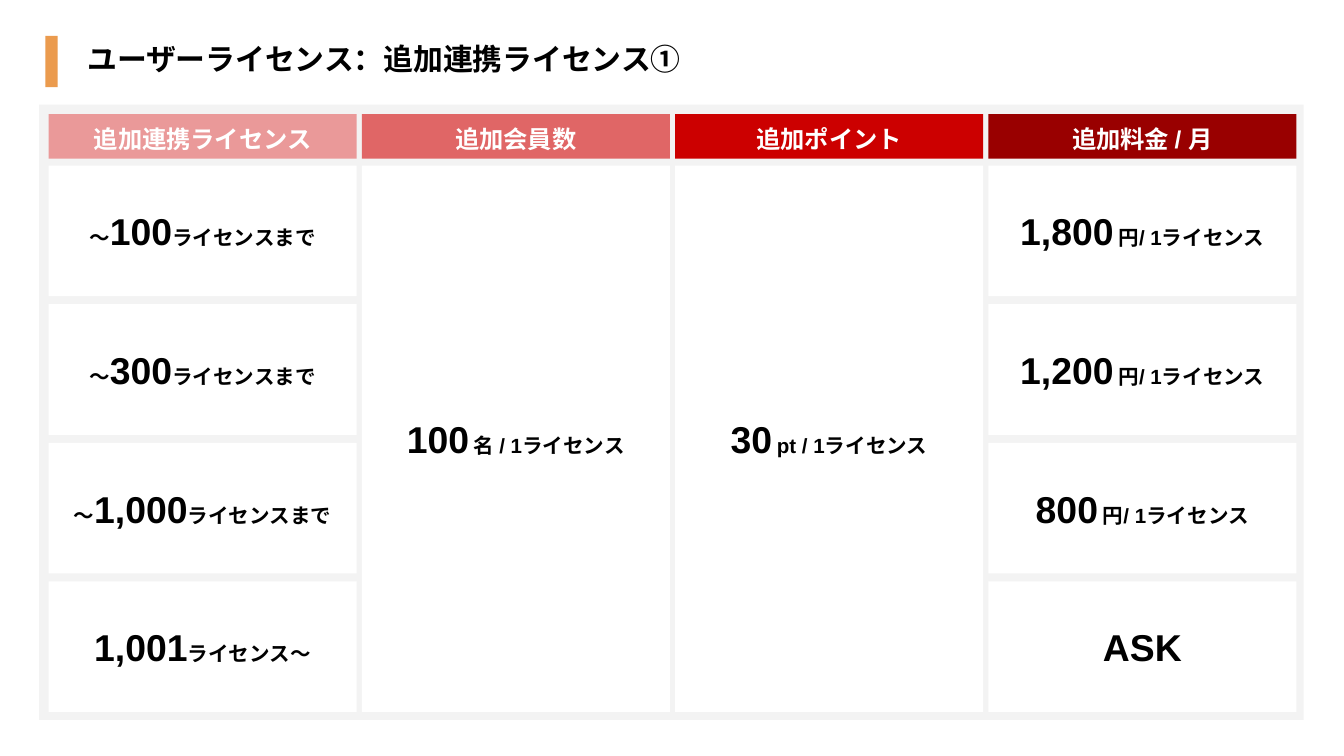
"""Build the additional linked licence price slide."""
from dataclasses import dataclass

from pptx import Presentation
from pptx.dml.color import RGBColor as RGB
from pptx.enum.shapes import MSO_SHAPE as Shape
from pptx.enum.text import MSO_ANCHOR as Anchor, PP_ALIGN as Align
from pptx.util import Cm, Pt


@dataclass(frozen=True)
class Theme:
    font: str = "Arial"
    ink: str = "000000"
    white: str = "FFFFFF"
    panel: str = "F3F3F3"
    accent: str = "EB9B4E"
    title: int = 16
    header: int = 13
    number: int = 20
    unit: int = 11
    gap: int = 9


T = Theme()
TITLE = "ユーザーライセンス：追加連携ライセンス①"
PER = "/ 1ライセンス"
UP_TO = ("ライセンスまで", T.unit)
FROM = ("～", T.unit)
SPACE = (" ", T.gap)
YEN = ("円" + PER, T.unit)

COLUMNS = [
    ("追加連携ライセンス", "EA9999", [
        [FROM, ("100", T.number), UP_TO],
        [FROM, ("300", T.number), UP_TO],
        [FROM, ("1,000", T.number), UP_TO],
        [("1,001", T.number), ("ライセンス～", T.unit)],
    ]),
    ("追加会員数", "E06666", [
        [("100", T.number), SPACE, ("名 " + PER, T.unit)],
    ]),
    ("追加ポイント", "CC0000", [
        [("30", T.number), SPACE, ("pt " + PER, T.unit)],
    ]),
    ("追加料金 / 月", "990000", [
        [("1,800", T.number), SPACE, YEN],
        [("1,200", T.number), SPACE, YEN],
        [("800", T.number), SPACE, YEN],
        [("ASK", T.number)],
    ]),
]

ROWS = 4
GRID_LEFT, COL_WIDTH, COL_PITCH = 0.92, 5.82, 5.92
HEAD_TOP, HEAD_HEIGHT = 2.16, 0.84
BODY_TOP, ROW_HEIGHT, ROW_PITCH = 3.13, 2.47, 2.62


def write(s, runs, color, align, spacing=1.0):
    tf = s.text_frame
    tf.word_wrap = True
    tf.vertical_anchor = Anchor.MIDDLE
    tf.margin_left = tf.margin_right = tf.margin_top = tf.margin_bottom = Cm(0.25)
    p = tf.paragraphs[0]
    p.alignment = align
    p.line_spacing = spacing
    for text, size in runs:
        r = p.add_run()
        r.text = text
        r.font.name = T.font
        r.font.size = Pt(size)
        r.font.bold = True
        r.font.color.rgb = RGB.from_string(color)


def add_box(sp, box, fill):
    s = sp.add_shape(Shape.RECTANGLE, *map(Cm, box))
    s.shadow.inherit = False
    s.fill.solid()
    s.fill.fore_color.rgb = RGB.from_string(fill)
    s.line.fill.background()
    return s


def add_column(sp, index, header, fill, cells):
    left = GRID_LEFT + index * COL_PITCH
    s = add_box(sp, (left, HEAD_TOP, COL_WIDTH, HEAD_HEIGHT), fill)
    write(s, [(header, T.header)], T.white, Align.CENTER, 1.15)
    span = ROWS // len(cells)
    height = (span - 1) * ROW_PITCH + ROW_HEIGHT
    for row, runs in enumerate(cells):
        top = BODY_TOP + row * span * ROW_PITCH
        s = add_box(sp, (left, top, COL_WIDTH, height), T.white)
        write(s, runs, T.ink, Align.CENTER)


def main():
    prs = Presentation()
    prs.slide_width, prs.slide_height = Cm(25.4), Cm(14.29)
    sp = prs.slides.add_slide(prs.slide_layouts[6]).shapes
    add_box(sp, (0.74, 1.98, 23.9, 11.63), T.panel)
    add_box(sp, (0.86, 0.68, 0.23, 0.97), T.accent)
    title = sp.add_textbox(Cm(1.4), Cm(0.5), Cm(19.7), Cm(1.32))
    write(title, [(TITLE, T.title)], T.ink, Align.LEFT, 0.9)
    for index, column in enumerate(COLUMNS):
        add_column(sp, index, *column)
    prs.save("out.pptx")


if __name__ == "__main__":
    main()
